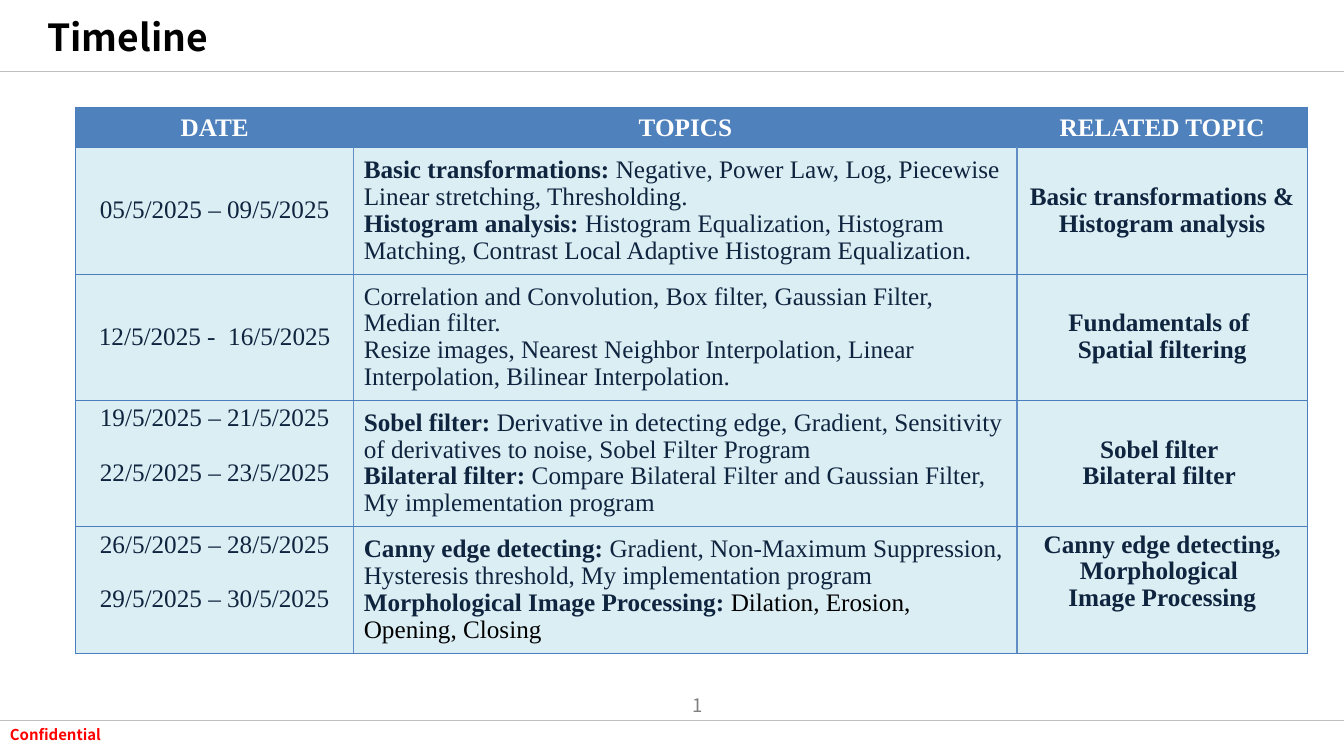
from lxml import etree
from pptx import Presentation
from pptx.dml.color import RGBColor
from pptx.enum import shapes, text
from pptx.oxml.ns import qn
from pptx.util import Pt

SANS, SERIF = "Noto Sans CJK KR", "Times New Roman"
NAVY, WHITE, BLACK = "0F243E", "FFFFFF", "000000"
HEADER_BLUE, PALE_BLUE = "4F81BD", "DBEEF4"
OUTER_BORDER, INNER_BORDER = ("4B7EBC", 0.75), ("618EC4", 1)
LEFT, CENTER, RIGHT = text.PP_ALIGN.LEFT, text.PP_ALIGN.CENTER, text.PP_ALIGN.RIGHT
TOP, MIDDLE = text.MSO_ANCHOR.TOP, text.MSO_ANCHOR.MIDDLE

COLUMN_WIDTHS = [198.7, 473.8, 207.4]
HEADER_HEIGHT, ROW_HEIGHT = 27.7, 86.8
HEADINGS = ["DATE", "TOPICS", "RELATED TOPIC"]
# Each row: dates, topics as (bold lead, detail), related topics, anchor of the outer columns
SCHEDULE = [
    (["05/5/2025 – 09/5/2025"],
     [("Basic transformations: ",
       "Negative, Power Law, Log, Piecewise Linear stretching, Thresholding."),
      ("Histogram analysis: ", "Histogram Equalization, Histogram Matching, "
       "Contrast Local Adaptive Histogram Equalization.")],
     ["Basic transformations & ", "Histogram analysis"], MIDDLE),
    (["12/5/2025 -  16/5/2025"],
     [("", "Correlation and Convolution, Box filter, Gaussian Filter,"),
      ("", "Median filter."),
      ("", "Resize images, Nearest Neighbor Interpolation, Linear Interpolation, "
       "Bilinear Interpolation.")],
     ["Fundamentals of ", "Spatial filtering"], MIDDLE),
    (["19/5/2025 – 21/5/2025", "22/5/2025 – 23/5/2025"],
     [("Sobel filter: ", "Derivative in detecting edge, Gradient, Sensitivity of "
       "derivatives to noise, Sobel Filter Program"),
      ("Bilateral filter: ", "Compare Bilateral Filter and Gaussian Filter,"),
      ("", "My implementation program")],
     ["Sobel filter ", "Bilateral filter "], MIDDLE),
    (["26/5/2025 – 28/5/2025", "29/5/2025 – 30/5/2025"],
     [("Canny edge detecting: ", "Gradient, Non-Maximum Suppression, Hysteresis "
       "threshold, My implementation program"),
      ("Morphological Image Processing: ", "Dilation, Erosion, Opening, Closing")],
     ["Canny edge detecting,", "Morphological ", "Image Processing"], TOP),
]


def rgb(color):
    return RGBColor.from_string(color)


def format_run(run, font, size, color, bold=False):
    run.font.name = font
    run.font.size = Pt(size)
    run.font.color.rgb = rgb(color)
    run.font.bold = bold


def write_line(frame, words, size, color, bold=False, align=LEFT):
    """Fill a one-line text frame in the sans font."""
    frame.text = words
    paragraph = frame.paragraphs[0]
    paragraph.alignment = align
    format_run(paragraph.runs[0], SANS, size, color, bold)


def add_title(slide, words):
    title = slide.shapes.title
    title.left, title.top, title.width, title.height = Pt(26.6), Pt(11.5), Pt(583), Pt(28.8)
    title.text_frame.vertical_anchor = MIDDLE
    write_line(title.text_frame, words, 26.6, BLACK, True)


def add_label(slide, words, box, size, color, bold=False, align=LEFT, anchor=TOP):
    label = slide.shapes.add_textbox(*map(Pt, box))
    label.text_frame.word_wrap = True
    label.text_frame.vertical_anchor = anchor
    write_line(label.text_frame, words, size, color, bold, align)


def add_rule(slide, left, right, y):
    rule = slide.shapes.add_connector(
        shapes.MSO_CONNECTOR.STRAIGHT, Pt(left), Pt(y), Pt(right), Pt(y))
    rule.line.color.rgb = rgb("BFBFBF")
    rule.line.width = Pt(1)
    etree.SubElement(rule._element.spPr, qn("a:effectLst"))


def set_borders(cell, left, right, top, bottom):
    """Put the four border lines before the fill, as the schema asks."""
    properties = cell._tc.get_or_add_tcPr()
    sides = zip(("lnL", "lnR", "lnT", "lnB"), (left, right, top, bottom))
    for position, (tag, (color, width)) in enumerate(sides):
        line = etree.Element(qn(f"a:{tag}"), w=str(Pt(width)))
        fill = etree.SubElement(line, qn("a:solidFill"))
        etree.SubElement(fill, qn("a:srgbClr"), val=color)
        properties.insert(position, line)


def fill_cell(cell, paragraphs, color, align, anchor=MIDDLE, line_spacing=0.96, gap=0):
    """Write paragraphs given as (bold words, plain words)."""
    cell.vertical_anchor = anchor
    frame = cell.text_frame
    for index, parts in enumerate(paragraphs):
        paragraph = frame.add_paragraph() if index else frame.paragraphs[0]
        paragraph.alignment = align
        paragraph.line_spacing = line_spacing
        paragraph.space_before = Pt(gap if index else 0)
        for words, bold in zip(parts, (True, False)):
            if words:
                run = paragraph.add_run()
                run.text = words
                format_run(run, SERIF, 18, color, bold)


def add_schedule(slide):
    height = HEADER_HEIGHT + ROW_HEIGHT * len(SCHEDULE)
    frame = slide.shapes.add_table(len(SCHEDULE) + 1, len(HEADINGS), Pt(54), Pt(76.7),
                                   Pt(sum(COLUMN_WIDTHS)), Pt(height))
    table = frame.table
    for column, width in zip(table.columns, COLUMN_WIDTHS):
        column.width = Pt(width)
    for index, row in enumerate(table.rows):
        row.height = Pt(ROW_HEIGHT if index else HEADER_HEIGHT)
        for column, cell in enumerate(row.cells):
            cell.fill.solid()
            cell.fill.fore_color.rgb = rgb(PALE_BLUE if index else HEADER_BLUE)
            inner = INNER_BORDER if index else (HEADER_BLUE, 0.75)
            set_borders(cell, inner if column else OUTER_BORDER,
                        inner if column < len(HEADINGS) - 1 else OUTER_BORDER,
                        OUTER_BORDER, OUTER_BORDER)
    for column, heading in enumerate(HEADINGS):
        fill_cell(table.cell(0, column), [(heading, "")], WHITE, CENTER, line_spacing=1.0)
    for index, (dates, topics, related, anchor) in enumerate(SCHEDULE, 1):
        date_anchor = TOP if len(dates) > 1 else MIDDLE
        fill_cell(table.cell(index, 0), [("", date) for date in dates],
                  NAVY, CENTER, date_anchor, gap=20)
        fill_cell(table.cell(index, 1), topics, NAVY, LEFT)
        fill_cell(table.cell(index, 2), [(topic, "") for topic in related],
                  NAVY, CENTER, anchor)
    closing_run = table.cell(len(SCHEDULE), 1).text_frame.paragraphs[-1].runs[-1]
    closing_run.font.color.rgb = rgb(BLACK)


def main():
    presentation = Presentation()
    presentation.slide_width, presentation.slide_height = Pt(960), Pt(540)
    slide = presentation.slides.add_slide(presentation.slide_layouts[5])
    add_label(slide, "Confidential", (0, 514.8, 165, 20), 10.7, "FF0000", True)
    add_rule(slide, -7, 964, 51)
    add_rule(slide, 0, 960, 514.8)
    add_label(slide, "1", (455, 489, 54, 28.8), 13.3, "808080", align=RIGHT, anchor=MIDDLE)
    add_title(slide, "Timeline")
    add_schedule(slide)
    presentation.save("out.pptx")


if __name__ == "__main__":
    main()
